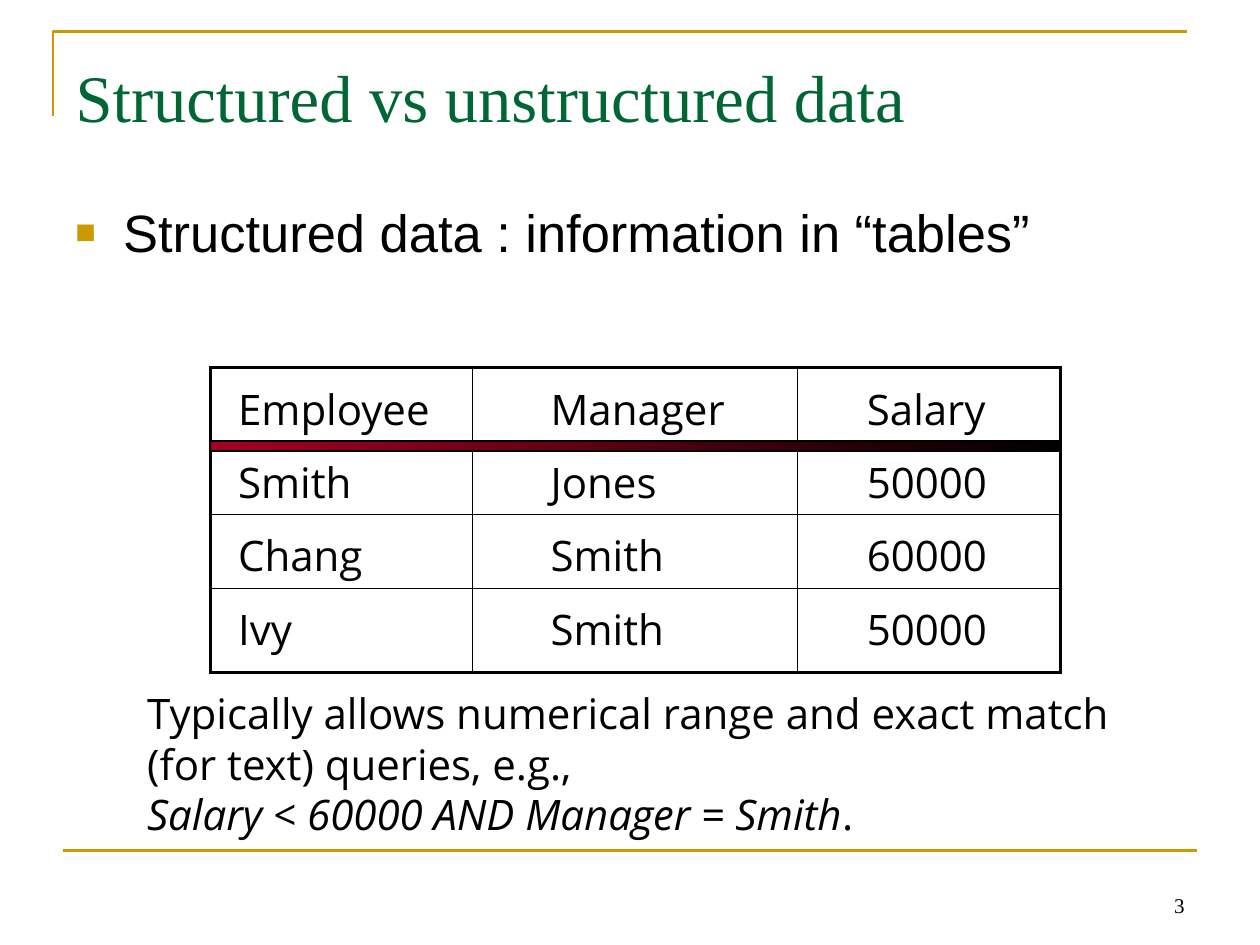
from lxml import etree
from pptx import Presentation
from pptx.dml.color import RGBColor
from pptx.enum.shapes import MSO_CONNECTOR, MSO_SHAPE
from pptx.enum.text import MSO_ANCHOR, PP_ALIGN
from pptx.oxml.ns import qn
from pptx.util import Inches, Pt

STRAIGHT = MSO_CONNECTOR.STRAIGHT
RECTANGLE = MSO_SHAPE.RECTANGLE
TOP, MIDDLE, BOTTOM = MSO_ANCHOR.TOP, MSO_ANCHOR.MIDDLE, MSO_ANCHOR.BOTTOM
LEFT, RIGHT = PP_ALIGN.LEFT, PP_ALIGN.RIGHT

TITLE = "Structured vs unstructured data"
BULLET = "Structured data : information in “tables”"
ROWS = [
    ("Employee", "Manager", "Salary"),
    ("Smith", "Jones", "50000"),
    ("Chang", "Smith", "60000"),
    ("Ivy", "Smith", "50000"),
]
NOTE = [
    [("Typically allows numerical range and exact match", False)],
    [("(for text) queries, e.g.,", False)],
    [("Salary < 60000 AND Manager = Smith", True), (".", False)],
]
PAGE_NUMBER = "3"

THEME = {
    "gold": "CC9900",
    "black": "000000",
    "red": "A50021",
    "title": {"name": "Times New Roman", "size": 38, "color": "006633"},
    "bullet": {"name": "Arial", "size": 30, "color": "000000"},
    "text": {"name": "Open Sans", "size": 24, "color": "000000"},
    "number": {"name": "Times New Roman", "size": 12, "color": "000000"},
    "rule": 1.5,
    "frame": 2,
    "grid": 0.75,
}

TABLE_LEFT, TABLE_TOP = 1.67, 2.92
COLUMN_WIDTHS = (2.08, 2.58, 2.09)
COLUMN_INDENTS = (0.22, 0.62, 0.55)
ROW_HEIGHTS = (0.58, 0.58, 0.59, 0.67)


def format_font(font, style):
    values = {**style, "size": Pt(style["size"])}
    font.color.rgb = RGBColor.from_string(values.pop("color"))
    for name, value in values.items():
        setattr(font, name, value)


def format_line(line, color, width):
    line.color.rgb = RGBColor.from_string(color)
    line.width = Pt(width)


def place(shape, *area):
    for name, value in zip(("left", "top", "width", "height"), area):
        setattr(shape, name, Inches(value))


def write(frame, paragraphs, style, anchor, align=LEFT, top=0.05, bottom=0.05):
    settings = {
        "word_wrap": True,
        "vertical_anchor": anchor,
        "margin_left": Inches(0.1),
        "margin_right": Inches(0.1),
        "margin_top": Inches(top),
        "margin_bottom": Inches(bottom),
    }
    for name, value in settings.items():
        setattr(frame, name, value)
    for index, spans in enumerate(paragraphs):
        para = frame.paragraphs[0] if index == 0 else frame.add_paragraph()
        para.alignment = align
        for text, italic in spans:
            span = para.add_run()
            span.text = text
            format_font(span.font, {**style, "italic": italic})


def add_text(page, area, paragraphs, style, anchor, **options):
    box = page.shapes.add_textbox(*map(Inches, area))
    write(box.text_frame, paragraphs, style, anchor, **options)
    return box


def add_bullet(para, symbol, color, percent):
    properties = para._p.get_or_add_pPr()
    properties.set("marL", str(Inches(0.38)))
    properties.set("indent", str(Inches(-0.38)))
    tint = etree.SubElement(properties, qn("a:buClr"))
    etree.SubElement(tint, qn("a:srgbClr"), val=color)
    etree.SubElement(properties, qn("a:buSzPct"), val=str(percent * 1000))
    etree.SubElement(properties, qn("a:buFont"), typeface="Arial")
    etree.SubElement(properties, qn("a:buChar"), char=symbol)


def add_border(cell, side, width):
    border = etree.Element(qn(f"a:{side}"), w=str(Pt(width)))
    fill = etree.SubElement(border, qn("a:solidFill"))
    etree.SubElement(fill, qn("a:srgbClr"), val=THEME["black"])
    return border


def format_cell(cell, row, column):
    settings = {
        "margin_left": Inches(COLUMN_INDENTS[column]),
        "margin_right": Inches(0),
        "margin_top": Inches(0.1),
        "margin_bottom": Inches(0),
        "vertical_anchor": TOP,
    }
    for name, value in settings.items():
        setattr(cell, name, value)
    cell.fill.background()
    outer_sides = {
        "lnL": column == 0,
        "lnR": column == len(COLUMN_WIDTHS) - 1,
        "lnT": row == 0,
        "lnB": row == len(ROWS) - 1,
    }
    properties = cell._tc.get_or_add_tcPr()
    for index, (side, outer) in enumerate(outer_sides.items()):
        width = THEME["frame"] if outer else THEME["grid"]
        properties.insert(index, add_border(cell, side, width))


def add_employee_table(page):
    area = (TABLE_LEFT, TABLE_TOP, sum(COLUMN_WIDTHS), sum(ROW_HEIGHTS))
    table = page.shapes.add_table(
        len(ROWS), len(COLUMN_WIDTHS), *map(Inches, area)
    ).table
    table.first_row = table.horz_banding = False
    for column, width in zip(table.columns, COLUMN_WIDTHS):
        column.width = Inches(width)
    for row, height in zip(table.rows, ROW_HEIGHTS):
        row.height = Inches(height)
    for row, values in enumerate(ROWS):
        for column, value in enumerate(values):
            cell = table.cell(row, column)
            cell.text = value
            format_font(cell.text_frame.paragraphs[0].runs[0].font, THEME["text"])
            format_cell(cell, row, column)


def add_header_bar(page):
    area = (TABLE_LEFT, TABLE_TOP + ROW_HEIGHTS[0], sum(COLUMN_WIDTHS), 0.08)
    bar = page.shapes.add_shape(RECTANGLE, *map(Inches, area))
    bar.shadow.inherit = False
    bar.fill.gradient()
    bar.fill.gradient_angle = 0
    for stop, position, color in zip(
        bar.fill.gradient_stops, (0, 1), (THEME["red"], THEME["black"])
    ):
        stop.position = position
        stop.color.rgb = RGBColor.from_string(color)
    format_line(bar.line, THEME["black"], THEME["grid"])


def add_page_rules(page):
    builder = page.shapes.build_freeform(Inches(0.42), Inches(0.92))
    corner_points = [(Inches(0.42), Inches(0.25)), (Inches(9.42), Inches(0.25))]
    builder.add_line_segments(corner_points, close=False)
    corner = builder.convert_to_shape()
    corner.shadow.inherit = False
    corner.fill.background()
    ends = map(Inches, (0.5, 6.75, 9.5, 6.75))
    rule = page.shapes.add_connector(STRAIGHT, *ends)
    etree.SubElement(rule._element.spPr, qn("a:effectLst"))
    for shape in (corner, rule):
        format_line(shape.line, THEME["gold"], THEME["rule"])


def main():
    deck = Presentation()
    deck.slide_width, deck.slide_height = Inches(10), Inches(7.5)
    page = deck.slides.add_slide(deck.slide_layouts[5])
    add_page_rules(page)
    add_text(page, (7.17, 6.83, 2.33, 0.5), [[(PAGE_NUMBER, False)]],
             THEME["number"], BOTTOM, align=RIGHT)
    title = page.shapes.title
    place(title, 0.5, 0.34, 8.83, 0.91)
    write(title.text_frame, [[(TITLE, False)]], THEME["title"], MIDDLE,
          top=0.03, bottom=0.09)
    body = add_text(page, (0.5, 1.5, 9, 5.25), [[(BULLET, False)]],
                    THEME["bullet"], TOP, top=0.09)
    add_bullet(body.text_frame.paragraphs[0], "■", THEME["gold"], 65)
    add_employee_table(page)
    add_header_bar(page)
    add_text(page, (1.07, 5.41, 7.94, 1.3), NOTE, THEME["text"], MIDDLE)
    deck.save("out.pptx")


if __name__ == "__main__":
    main()
